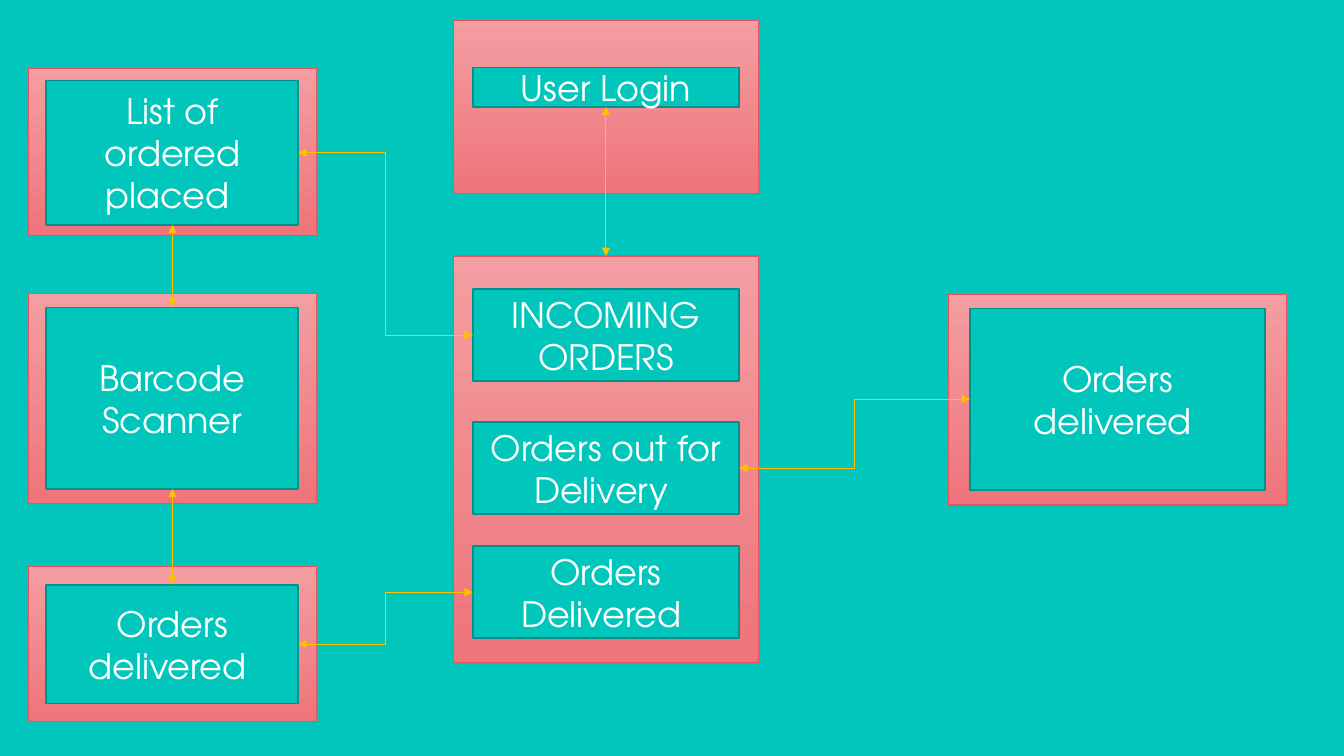
from lxml.etree import SubElement
from pptx import Presentation
from pptx.dml.color import RGBColor
from pptx.enum.shapes import MSO_CONNECTOR, MSO_SHAPE
from pptx.enum.text import MSO_ANCHOR, PP_ALIGN
from pptx.oxml.ns import qn
from pptx.util import Inches, Pt

FONT = "TeX Gyre Adventor"
COLORS = {
    "teal": "00C6BB",
    "teal_edge": "00928A",
    "pink_top": "F39EA2",
    "pink_bottom": "EF747B",
    "pink_edge": "ED515C",
    "arrow": "FFC000",
    "text": "FFFFFF",
}
# Grid columns: panel left, panel width, side margin around each step
COLUMNS = {
    "left": (0.28, 2.86, 0.18),
    "centre": (4.5, 3.02, 0.19),
    "right": (9.41, 3.35, 0.21),
}
TOP, LEFT, BOTTOM, RIGHT = range(4)


def color(name):
    return RGBColor.from_string(COLORS[name])


def add_box(group, left, top, width, height, edge, edge_width):
    box = group.shapes.add_shape(
        MSO_SHAPE.RECTANGLE, Inches(left), Inches(top), Inches(width), Inches(height))
    box.shadow.inherit = False
    box.line.color.rgb = color(edge)
    box.line.width = Pt(edge_width)
    return box


def add_step(group, column, top, height, lines):
    """Teal box with centred text, one paragraph per line."""
    left, width, margin = COLUMNS[column]
    step = add_box(group, left + margin, top, width - 2 * margin, height, "teal_edge", 1.25)
    step.fill.solid()
    step.fill.fore_color.rgb = color("teal")
    frame = step.text_frame
    frame.word_wrap = True
    frame.vertical_anchor = MSO_ANCHOR.MIDDLE
    for index, line in enumerate(lines):
        paragraph = frame.add_paragraph() if index else frame.paragraphs[0]
        paragraph.alignment = PP_ALIGN.CENTER
        run = paragraph.add_run()
        run.text = line
        run.font.name = FONT
        run.font.size = Pt(25)
        run.font.color.rgb = color("text")
    return step


def add_panel(slide, column, top, height, steps):
    """Pink panel grouped with its steps; returns the panel and the steps."""
    group = slide.shapes.add_group_shape()
    left, width, _ = COLUMNS[column]
    panel = add_box(group, left, top, width, height, "pink_edge", 0.75)
    panel.fill.gradient()
    panel.fill.gradient_angle = 270
    for stop, name in zip(panel.fill.gradient_stops, ("pink_top", "pink_bottom")):
        stop.color.rgb = color(name)
    return panel, [add_step(group, column, *step) for step in steps]


def add_link(slide, kind, start, start_side, end, end_side):
    """Double-headed arrow between the side middles of two boxes."""
    link = slide.shapes.add_connector(kind, 0, 0, 0, 0)
    link.begin_connect(start, start_side)
    link.end_connect(end, end_side)
    link.line.color.rgb = color("arrow")
    link.line.width = Pt(0.75)
    outline = link.line._get_or_add_ln()
    for tag in ("a:headEnd", "a:tailEnd"):
        SubElement(outline, qn(tag), type="triangle")
    SubElement(link._element.spPr, qn("a:effectLst"))


def main():
    presentation = Presentation()
    presentation.slide_width = Inches(13.33)
    presentation.slide_height = Inches(7.5)
    slide = presentation.slides.add_slide(presentation.slide_layouts[6])
    slide.background.fill.solid()
    slide.background.fill.fore_color.rgb = color("teal")

    # Centre column: login and order stages
    _, [login] = add_panel(slide, "centre", 0.2, 1.72, [(0.67, 0.39, ["User Login"])])
    orders, [incoming, out_for_delivery, delivered] = add_panel(slide, "centre", 2.54, 4.03, [
        (2.87, 0.91, ["INCOMING ORDERS"]),
        (4.19, 0.91, ["Orders out for Delivery "]),
        (5.42, 0.91, ["Orders Delivered "]),
    ])

    # Left column: scanning
    _, [placed] = add_panel(
        slide, "left", 0.68, 1.66, [(0.8, 1.43, ["List of ordered placed "])])
    _, [scanned_delivered] = add_panel(
        slide, "left", 5.62, 1.54, [(5.8, 1.18, ["Orders delivered "])])
    _, [scanner] = add_panel(
        slide, "left", 2.91, 2.09, [(3.05, 1.8, ["Barcode", "Scanner"])])

    # Right column: final delivery
    _, [final_delivered] = add_panel(
        slide, "right", 2.92, 2.09, [(3.06, 1.8, ["Orders delivered "])])

    # Links between steps
    for start, end in ((scanned_delivered, delivered), (placed, incoming),
                       (out_for_delivery, final_delivered)):
        add_link(slide, MSO_CONNECTOR.ELBOW, start, RIGHT, end, LEFT)
    for start, end in ((placed, scanner), (scanner, scanned_delivered), (login, orders)):
        add_link(slide, MSO_CONNECTOR.STRAIGHT, start, BOTTOM, end, TOP)

    presentation.save("out.pptx")


if __name__ == "__main__":
    main()
